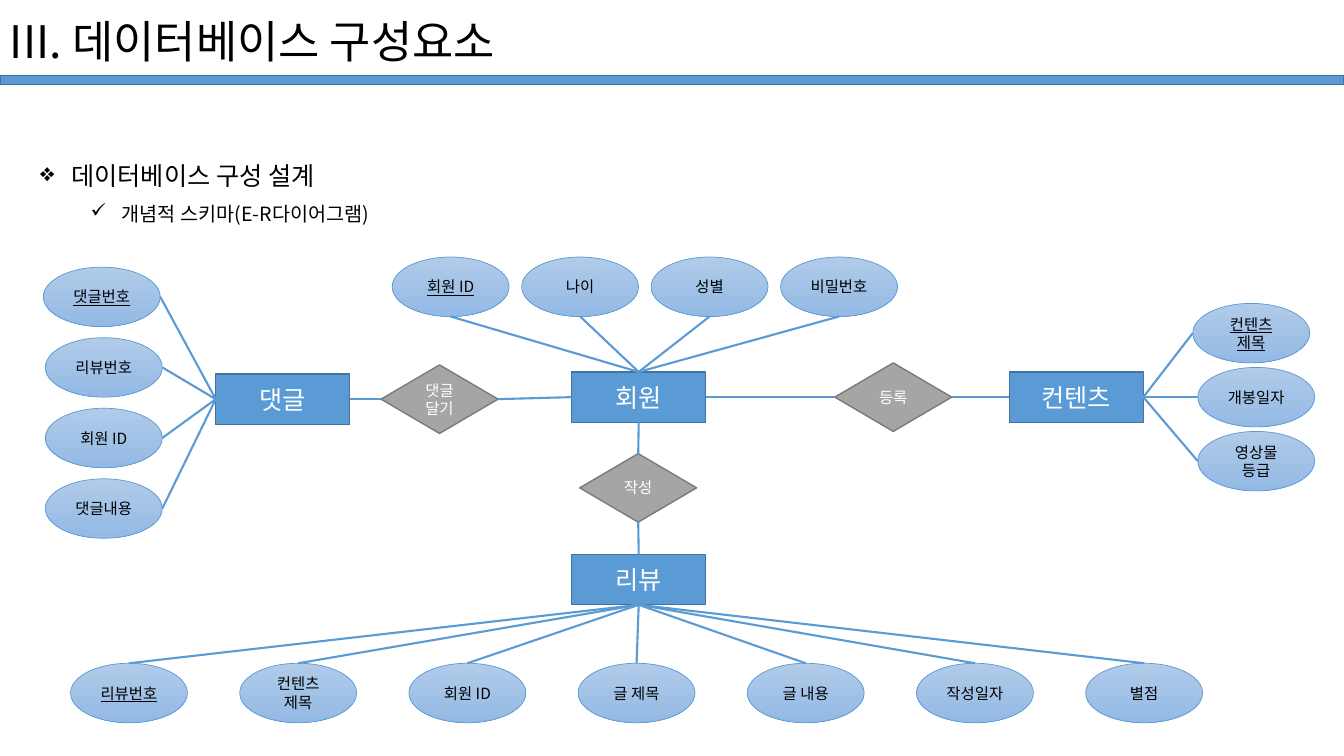
"""Build the E-R diagram slide of the database components section."""
from typing import NamedTuple

from lxml import etree
from pptx import Presentation, util as u
from pptx.dml.color import RGBColor
from pptx.enum import shapes, text
from pptx.oxml import ns

FONT = "Noto Sans CJK KR"
COLORS = {
    "blue": "5B9BD5", "blue_edge": "43739E", "grey": "A5A5A5", "grey_edge": "7A7A7A",
    "light_top": "B1CBE9", "light_bottom": "93B9E4", "black": "000000", "white": "FFFFFF",
}


class Style(NamedTuple):
    form: shapes.MSO_SHAPE
    width: float
    height: float
    fills: tuple[str, ...]
    edge: str
    edge_pt: float
    size: int
    ink: str


class Node(NamedTuple):
    label: str
    x: float
    y: float
    key: bool = False


class Family(NamedTuple):
    entity: Node
    entity_side: str
    attribute_side: str
    attributes: list[Node]


class Link(NamedTuple):
    start: str
    start_side: str
    end: str
    end_side: str


ENTITY = Style(shapes.MSO_SHAPE.RECTANGLE, 1.33, 0.5, ("blue",), "blue_edge", 1, 18, "white")
RELATION = Style(shapes.MSO_SHAPE.DIAMOND, 1.16, 0.68, ("grey",), "grey_edge", 1, 11, "white")
ATTRIBUTE = Style(shapes.MSO_SHAPE.OVAL, 1.16, 0.59, ("light_top", "light_bottom"),
                  "blue", 0.5, 11, "black")
BAR = Style(shapes.MSO_SHAPE.RECTANGLE, 13.33, 0.09, ("blue",), "blue_edge", 1, 18, "white")

SIDES = {"top": (0.5, 0), "bottom": (0.5, 1), "left": (0, 0.5), "right": (1, 0.5)}

MEMBER_LABELS = ["회원 ID", "나이", "성별", "비밀번호"]
REVIEW_LABELS = ["리뷰번호", "컨텐츠 제목", "회원 ID", "글 제목", "글 내용", "작성일자", "별점"]
COMMENT_LABELS = ["댓글번호", "리뷰번호", "회원 ID", "댓글내용"]
CONTENT_LABELS = ["컨텐츠 제목", "개봉일자", "영상물 등급"]

FAMILIES = [
    Family(Node("회원", 5.67, 3.69), "top", "bottom",
           [Node(t, 3.89 + 1.284 * i, 2.55, i == 0) for i, t in enumerate(MEMBER_LABELS)]),
    Family(Node("리뷰", 5.67, 5.5), "bottom", "top",
           [Node(t, 0.7 + 1.678 * i, 6.58, i == 0) for i, t in enumerate(REVIEW_LABELS)]),
    Family(Node("댓글", 2.14, 3.71), "left", "right",
           [Node(t, 0.45 if i else 0.43, 2.65 + 0.7 * i, i == 0)
            for i, t in enumerate(COMMENT_LABELS)]),
    Family(Node("컨텐츠", 10.01, 3.69), "right", "left",
           [Node(t, 11.88 if i else 11.83, 3.01 + 0.635 * i, i == 0)
            for i, t in enumerate(CONTENT_LABELS)]),
]
RELATIONS = [Node("댓글달기", 3.78, 3.62), Node("등록", 8.28, 3.6), Node("작성", 5.75, 4.5)]
LINKS = [
    Link("댓글", "right", "댓글달기", "left"), Link("댓글달기", "right", "회원", "left"),
    Link("회원", "right", "등록", "left"), Link("등록", "right", "컨텐츠", "left"),
    Link("회원", "bottom", "작성", "top"), Link("작성", "bottom", "리뷰", "top"),
]


def rgb(name: str) -> RGBColor:
    return RGBColor.from_string(COLORS[name])


def set_font(p, size: int, ink: str, underline: bool = False):
    p.font.size = u.Pt(size)
    p.font.name = FONT
    p.font.color.rgb = rgb(ink)
    if underline:
        p.font.underline = True
    props = p._p.pPr.find(ns.qn("a:defRPr"))
    etree.SubElement(props, ns.qn("a:ea"), typeface=FONT)
    return props


def add_node(s, node: Node, style: Style):
    sp = s.shapes.add_shape(style.form, u.Inches(node.x), u.Inches(node.y),
                            u.Inches(style.width), u.Inches(style.height))
    sp.shadow.inherit = False
    if len(style.fills) == 1:
        sp.fill.solid()
        sp.fill.fore_color.rgb = rgb(style.fills[0])
    else:
        sp.fill.gradient()
        sp.fill.gradient_angle = 270
        for stop, name in zip(sp.fill.gradient_stops, style.fills):
            stop.color.rgb = rgb(name)
    sp.line.color.rgb = rgb(style.edge)
    sp.line.width = u.Pt(style.edge_pt)
    if node.label:
        tf = sp.text_frame
        tf.word_wrap = True
        tf.vertical_anchor = text.MSO_ANCHOR.MIDDLE
        p = tf.paragraphs[0]
        p.text = node.label
        p.alignment = text.PP_ALIGN.CENTER
        set_font(p, style.size, style.ink, node.key)
    return sp


def anchor(sp, side: str) -> tuple[int, int]:
    across, down = SIDES[side]
    return int(sp.left + sp.width * across), int(sp.top + sp.height * down)


def join(s, start, start_side: str, end, end_side: str) -> None:
    line = s.shapes.add_connector(shapes.MSO_CONNECTOR.STRAIGHT,
                                  *anchor(start, start_side), *anchor(end, end_side))
    line.line.color.rgb = rgb("blue")
    line.line.width = u.Pt(1.5)
    etree.SubElement(line._element.spPr, ns.qn("a:effectLst"))


def add_text_box(s, x: float, y: float, width: float, height: float):
    tf = s.shapes.add_textbox(u.Inches(x), u.Inches(y), u.Inches(width),
                              u.Inches(height)).text_frame
    tf.word_wrap = True
    return tf


def write_item(p, label: str, size: int, margin: float, hanging: float,
               bullet: str, **attributes: str) -> None:
    p.text = label
    props = set_font(p, size, "black")
    p._p.pPr.set("marL", str(u.Inches(margin)))
    p._p.pPr.set("indent", str(u.Inches(-hanging)))
    props.addprevious(etree.Element(ns.qn(bullet), **attributes))


def main() -> None:
    prs = Presentation()
    prs.slide_width, prs.slide_height = u.Inches(13.33), u.Inches(7.5)
    s = prs.slides.add_slide(prs.slide_layouts[6])

    add_node(s, Node("", 0, 0.75), BAR)
    title = add_text_box(s, 0, 0.09, 10.73, 0.64)
    write_item(title.paragraphs[0], "데이터베이스 구성요소", 32, 0.62, 0.62,
               "a:buAutoNum", type="romanUcPeriod", startAt="3")

    tf = add_text_box(s, 0.3, 1.39, 10.08, 1.92)
    heading, detail = tf.paragraphs[0], tf.add_paragraph()
    detail.level = 1
    write_item(heading, "데이터베이스 구성 설계", 18, 0.31, 0.31, "a:buChar", char="❖")
    write_item(detail, "개념적 스키마(E-R다이어그램)", 14, 0.81, 0.31, "a:buChar", char="✓")
    for p in tf.paragraphs:
        p.line_spacing = 1.5

    nodes = {node.label: add_node(s, node, RELATION) for node in RELATIONS}
    for family in FAMILIES:
        entity = add_node(s, family.entity, ENTITY)
        nodes[family.entity.label] = entity
        for attribute in family.attributes:
            sp = add_node(s, attribute, ATTRIBUTE)
            join(s, sp, family.attribute_side, entity, family.entity_side)
    for link in LINKS:
        join(s, nodes[link.start], link.start_side, nodes[link.end], link.end_side)

    prs.save("out.pptx")


main()
